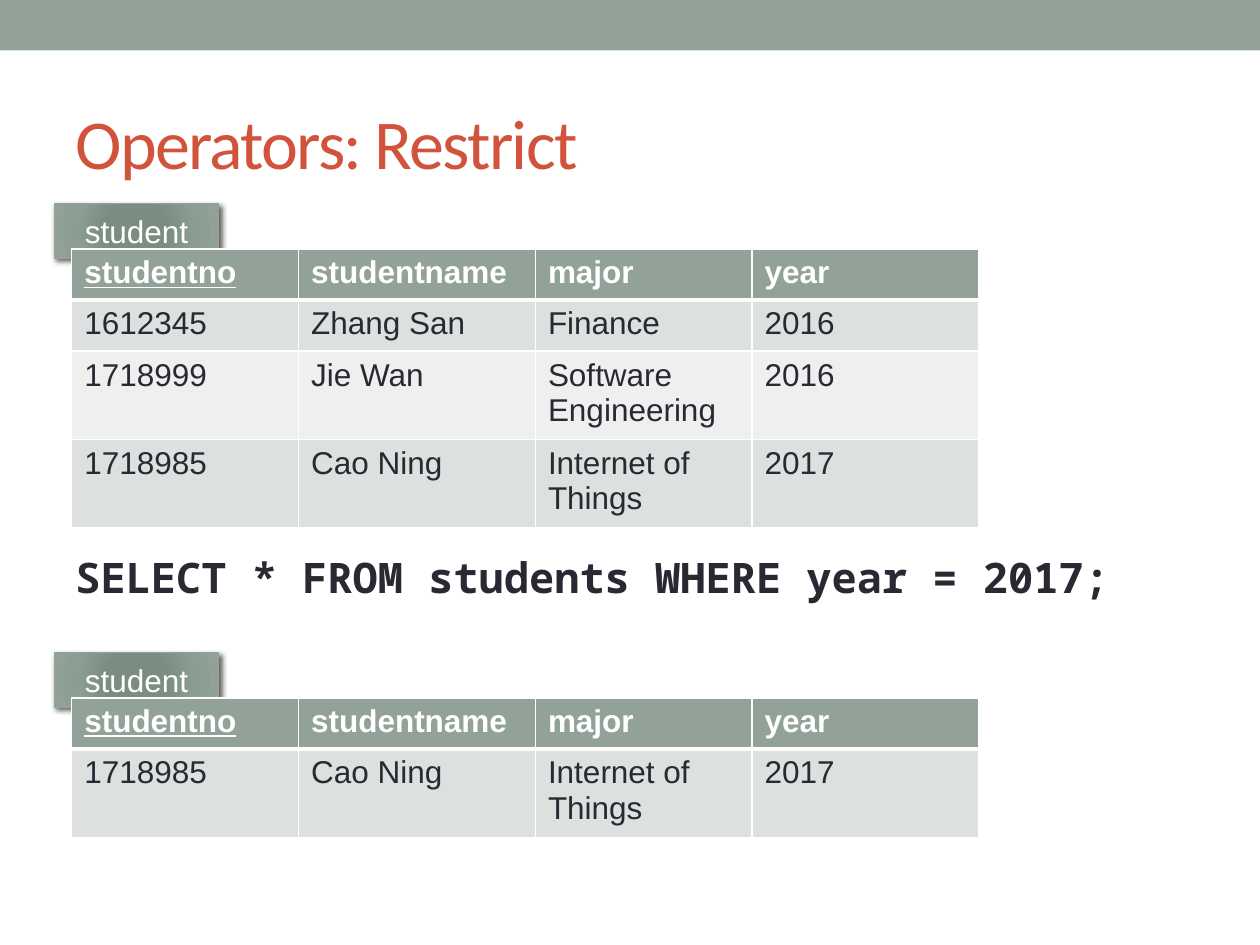
from dataclasses import dataclass

from lxml import etree
from pptx import Presentation
from pptx import util as u
from pptx.dml.color import RGBColor
from pptx.enum import shapes, text
from pptx.oxml import parse_xml
from pptx.oxml.ns import nsdecls, qn


@dataclass(frozen=True)
class Theme:
    sage: str = "93A299"
    title: str = "D2533C"
    ink: str = "292934"
    white: str = "FFFFFF"
    bands: tuple = ("DCE0DE", "EEF0EF")
    glow: tuple = ((0, "7B8E82"), (34, "7B8D83"), (70, "8A9E92"), (100, "93A299"))
    title_size: int = 40
    query_size: int = 24
    body_size: int = 18
    title_font: str = "Calibri"
    code_font: str = "Noto Sans Mono"
    body_font: str = "Arial"


THEME = Theme()
COLUMN_WIDTHS = (129.6, 135.36, 123.84, 129.6)
ROW_HEIGHT = 29.2
HEADER = ("studentno", "studentname", "major", "year")
STUDENTS = (
    ("1612345", "Zhang San", "Finance", "2016"),
    ("1718999", "Jie Wan", "Software Engineering", "2016"),
    ("1718985", "Cao Ning", "Internet of Things", "2017"),
)


def add_text(para, words, size, font, color, bold=False, underline=False):
    span = para.add_run()
    span.text = words
    span.font.size = u.Pt(size)
    span.font.name = font
    span.font.color.rgb = RGBColor.from_string(color)
    span.font.bold = bold
    span.font.underline = underline
    return span


def add_rectangle(page, left, top, width, height):
    box = page.shapes.add_shape(
        shapes.MSO_SHAPE.RECTANGLE, u.Pt(left), u.Pt(top), u.Pt(width), u.Pt(height))
    box.shadow.inherit = False
    box.fill.solid()
    box.fill.fore_color.rgb = RGBColor.from_string(THEME.sage)
    box.line.fill.background()
    return box


def set_title(page, words):
    title = page.shapes.title
    title.left, title.top = u.Pt(36), u.Pt(41.76)
    title.width, title.height = u.Pt(648), u.Pt(77.76)
    title.text_frame.vertical_anchor = text.MSO_ANCHOR.MIDDLE
    para = title.text_frame.paragraphs[0]
    para.alignment = text.PP_ALIGN.LEFT
    span = add_text(para, words, THEME.title_size, THEME.title_font, THEME.title)
    span.font._element.set("spc", "-100")


def add_query(page, words):
    box = page.shapes.add_textbox(u.Pt(36), u.Pt(309.4), u.Pt(648), u.Pt(40))
    frame = box.text_frame
    frame.word_wrap = True
    frame.vertical_anchor = text.MSO_ANCHOR.MIDDLE
    add_text(frame.paragraphs[0], words, THEME.query_size, THEME.code_font,
             THEME.ink, bold=True)


def add_glow(box):
    stops = "".join(f'<a:gs pos="{place * 1000}"><a:srgbClr val="{color}"/></a:gs>'
                    for place, color in THEME.glow)
    properties = box._element.spPr
    solid = properties.find(qn("a:solidFill"))
    properties.replace(solid, parse_xml(
        f'<a:gradFill {nsdecls("a")} rotWithShape="1"><a:gsLst>{stops}</a:gsLst>'
        '<a:path path="circle"><a:fillToRect l="100000" t="100000" r="100000" '
        'b="100000"/></a:path></a:gradFill>'))
    properties.find(qn("a:effectLst")).append(parse_xml(
        f'<a:outerShdw {nsdecls("a")} blurRad="{u.Pt(3)}" dist="{u.Pt(2)}" '
        'dir="2700000" rotWithShape="0"><a:srgbClr val="000000">'
        '<a:alpha val="60000"/></a:srgbClr></a:outerShdw>'))


def add_label(page, top, words):
    box = add_rectangle(page, 31, top, 94, 31)
    box.line.color.rgb = RGBColor.from_string(THEME.sage)
    box.line.width = u.Pt(0.75)
    add_glow(box)
    frame = box.text_frame
    frame.vertical_anchor = text.MSO_ANCHOR.MIDDLE
    para = frame.paragraphs[0]
    para.alignment = text.PP_ALIGN.CENTER
    add_text(para, words, THEME.body_size, THEME.body_font, THEME.white)


def add_borders(cell, row):
    widths = {"lnL": 1, "lnR": 1, "lnT": 3 if row == 1 else 1, "lnB": 3 if row == 0 else 1}
    properties = cell._tc.get_or_add_tcPr()
    for side, width in widths.items():
        line = etree.SubElement(properties, qn(f"a:{side}"), w=str(u.Pt(width)))
        fill = etree.SubElement(line, qn("a:solidFill"))
        etree.SubElement(fill, qn("a:srgbClr"), val=THEME.white)


def fill_cell(cell, words, row, column):
    header = row == 0
    add_borders(cell, row)
    cell.fill.solid()
    color = THEME.sage if header else THEME.bands[(row - 1) % 2]
    cell.fill.fore_color.rgb = RGBColor.from_string(color)
    add_text(cell.text_frame.paragraphs[0], words, THEME.body_size, THEME.body_font,
             THEME.white if header else THEME.ink,
             bold=header, underline=header and column == 0)


def add_relation(page, top, students):
    add_label(page, top, "student")
    rows = (HEADER, *students)
    table = page.shapes.add_table(
        len(rows), len(HEADER), u.Pt(41), u.Pt(top + 25.8),
        u.Pt(sum(COLUMN_WIDTHS)), u.Pt(ROW_HEIGHT * len(rows))).table
    for column, width in zip(table.columns, COLUMN_WIDTHS):
        column.width = u.Pt(width)
    for row, values in enumerate(rows):
        table.rows[row].height = u.Pt(ROW_HEIGHT)
        for column, words in enumerate(values):
            fill_cell(table.cell(row, column), words, row, column)


def main():
    deck = Presentation()
    deck.slide_width, deck.slide_height = u.Pt(720), u.Pt(540)
    page = deck.slides.add_slide(deck.slide_layouts[5])
    add_rectangle(page, 0, 0, 720, 28.8)
    set_title(page, "Operators: Restrict")
    add_query(page, "SELECT * FROM students WHERE year = 2017;")
    add_relation(page, 116.5, STUDENTS)
    add_relation(page, 373, STUDENTS[-1:])
    deck.save("out.pptx")


if __name__ == "__main__":
    main()
